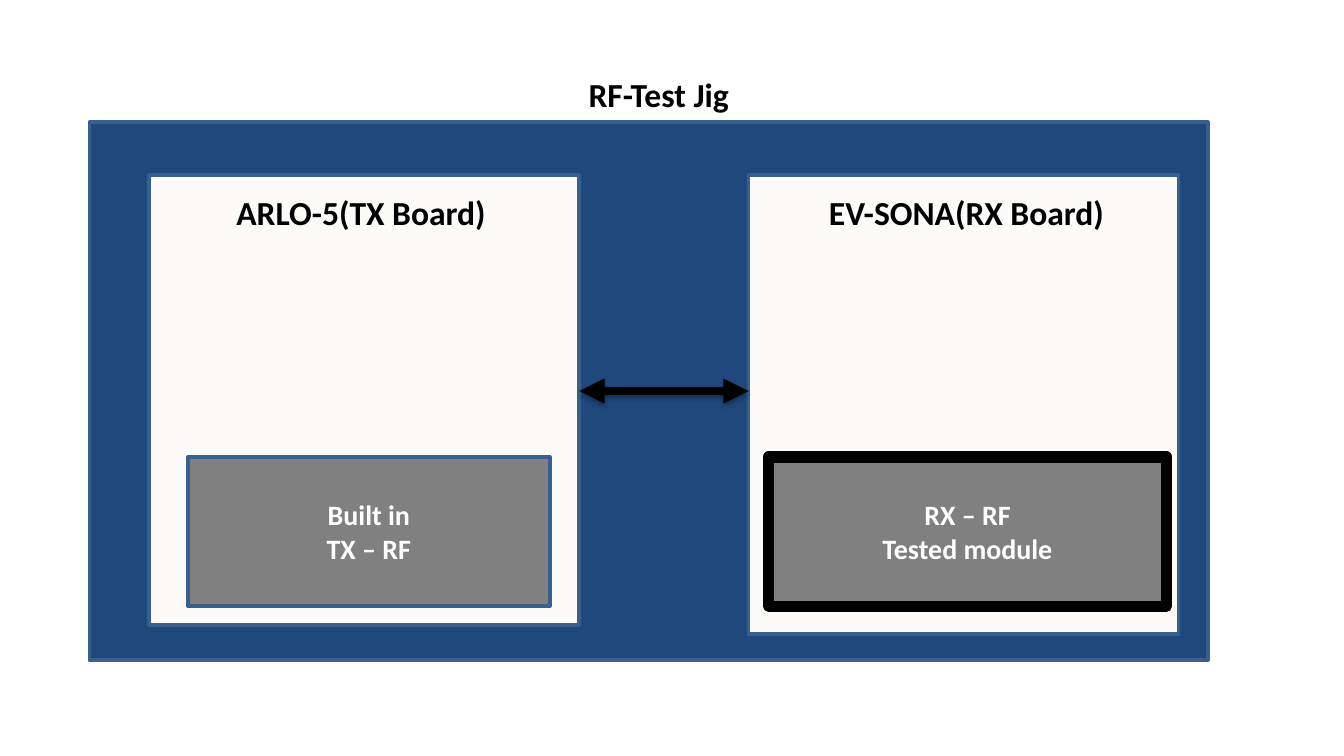
from dataclasses import dataclass

from lxml import etree
from pptx import Presentation
from pptx.dml.color import RGBColor
from pptx.enum import shapes, text
from pptx.oxml import ns
from pptx.util import Pt


@dataclass(frozen=True)
class Theme:
    font: str = "Calibri"
    title_size: float = 18
    module_size: float = 15
    jig: str = "1F497D"
    board: str = "FCFBF9"
    module: str = "808080"
    border: str = "3A5F8C"
    ink: str = "000000"
    white: str = "FFFFFF"


class Diagram:
    def __init__(self, slide, theme):
        self.slide = slide
        self.theme = theme

    def set_text(self, frame, lines, size, color, align):
        frame.text = "\n".join(lines)
        for paragraph in frame.paragraphs:
            paragraph.alignment = align
            font = paragraph.font
            font.name, font.size, font.bold = self.theme.font, Pt(size), True
            font.color.rgb = RGBColor.from_string(color)

    def block(self, left, top, width, height, fill, border=None, weight=2, lines=()):
        block = self.slide.shapes.add_shape(
            shapes.MSO_SHAPE.RECTANGLE, Pt(left), Pt(top), Pt(width), Pt(height))
        block.shadow.inherit = False
        block.fill.solid()
        block.fill.fore_color.rgb = RGBColor.from_string(fill)
        block.line.color.rgb = RGBColor.from_string(border or self.theme.border)
        block.line.width = Pt(weight)
        if lines:
            block.text_frame.vertical_anchor = text.MSO_ANCHOR.MIDDLE
            self.set_text(block.text_frame, lines, self.theme.module_size,
                          self.theme.white, text.PP_ALIGN.CENTER)

    def title(self, left, top, width, words):
        box = self.slide.shapes.add_textbox(Pt(left), Pt(top), Pt(width), Pt(29))
        box.text_frame.word_wrap = False
        box.text_frame.auto_size = text.MSO_AUTO_SIZE.SHAPE_TO_FIT_TEXT
        self.set_text(box.text_frame, [words], self.theme.title_size,
                      self.theme.ink, text.PP_ALIGN.LEFT)

    def double_arrow(self, start, end, y, weight):
        """Draw a horizontal arrow with two heads and a soft shadow below."""
        arrow = self.slide.shapes.add_connector(
            shapes.MSO_CONNECTOR.STRAIGHT, Pt(start), Pt(y), Pt(end), Pt(y))
        arrow.line.width = Pt(weight)
        arrow.line.color.rgb = RGBColor.from_string(self.theme.ink)
        line = arrow.line._get_or_add_ln()
        for end_tag in ("a:headEnd", "a:tailEnd"):
            etree.SubElement(line, ns.qn(end_tag), type="triangle")
        effects = etree.SubElement(arrow._element.spPr, ns.qn("a:effectLst"))
        shadow = etree.SubElement(
            effects, ns.qn("a:outerShdw"), blurRad=str(Pt(3.1)), dist=str(Pt(1.8)),
            dir="5400000", rotWithShape="0")
        color = etree.SubElement(shadow, ns.qn("a:srgbClr"), val=self.theme.ink)
        etree.SubElement(color, ns.qn("a:alpha"), val="35000")


def main():
    presentation = Presentation()
    presentation.slide_width, presentation.slide_height = Pt(720), Pt(405)
    theme = Theme()
    diagram = Diagram(presentation.slides.add_slide(presentation.slide_layouts[6]), theme)

    board_top, board_width = 93.6, 230.4
    tx_left, rx_left = 80, 401
    module_top, module_height = 244.8, 80
    title_top = 99.4

    diagram.block(48, 65.5, 599, 288, theme.jig)
    diagram.block(tx_left, board_top, board_width, 241.2, theme.board)
    diagram.block(rx_left, board_top, board_width, 246.2, theme.board)
    diagram.double_arrow(tx_left + board_width, rx_left, 209.5, 4.5)

    diagram.block(100.8, module_top, 193.7, module_height, theme.module,
                  lines=["Built in", "TX – RF"])
    diagram.title(119.5, title_top, 153.4, "ARLO-5(TX Board)")
    diagram.block(411.8, module_top, 213.1, module_height, theme.module,
                  border=theme.ink, weight=6, lines=["RX – RF", "Tested module"])
    diagram.title(437, title_top, 163.4, "EV-SONA(RX Board)")
    diagram.title(308.2, 36, 90.7, "RF-Test Jig")

    presentation.save("out.pptx")


if __name__ == "__main__":
    main()
